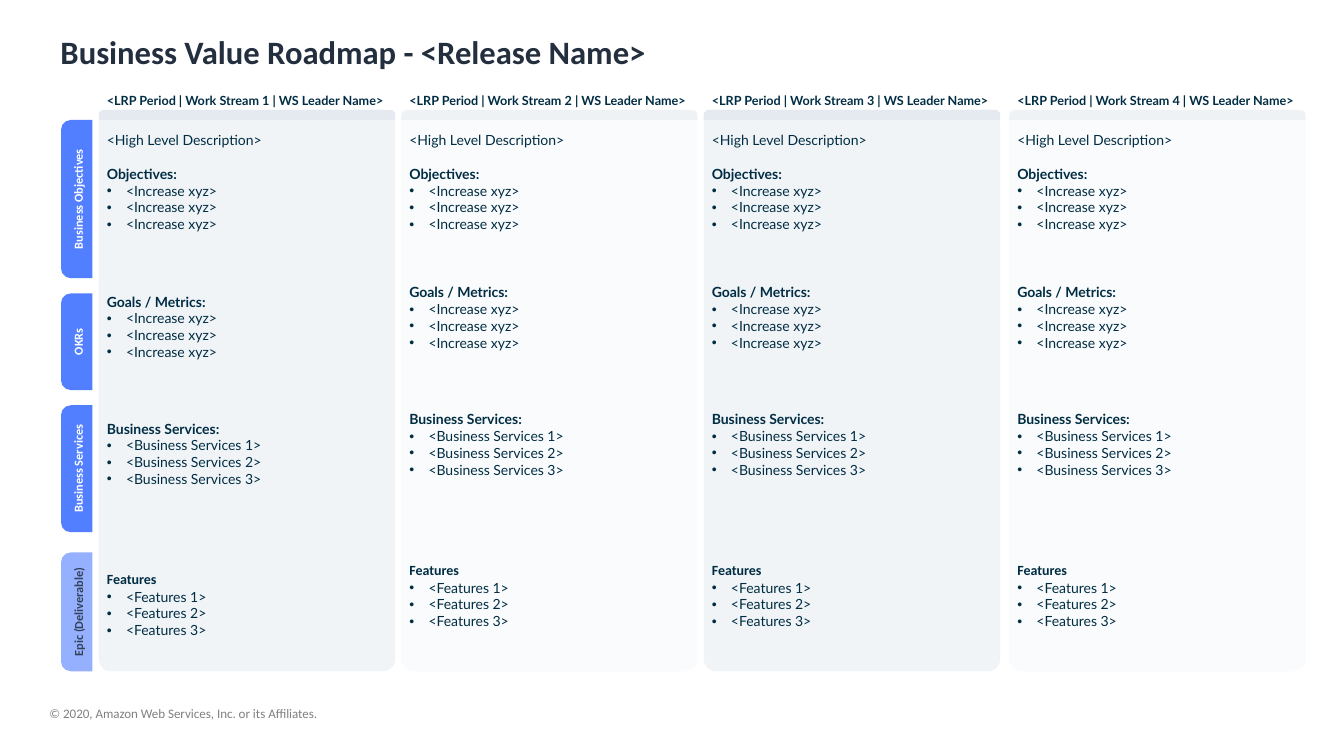
from lxml import etree
from pptx import Presentation
from pptx import util as u
from pptx.dml.color import RGBColor
from pptx.enum import shapes, text
from pptx.oxml import ns

WHITE = RGBColor(0xFF, 0xFF, 0xFF)
TITLE_INK = RGBColor(0x23, 0x2F, 0x3E)
BODY_INK = RGBColor(0x00, 0x2D, 0x43)
TAB_INK = RGBColor(0x32, 0x43, 0x58)
FOOTER_GREY = RGBColor(0x80, 0x80, 0x80)
PANEL = RGBColor(0xE5, 0xEA, 0xF0)
BLUE = RGBColor(0x52, 0x7F, 0xFF)
LIGHT_BLUE = RGBColor(0x95, 0xB0, 0xFF)
NO_GRID_STYLE = "{2D5ABB26-0587-4C30-8999-92F81FD0307C}"

COLUMN_LEFTS = (0.98, 3.98, 6.98, 10.01)
COLUMN_WIDTH = 2.94
PANEL_TOP = 1.09
TAB_WIDTH = 0.31
TAB_CENTER = 0.76

# name, top, length, fill, ink
TABS = (
    ("Business Objectives", 1.19, 1.57, BLUE, WHITE),
    ("OKRs", 2.91, 0.96, BLUE, WHITE),
    ("Business Services", 4.02, 1.26, BLUE, WHITE),
    ("Epic (Deliverable)", 5.48, 1.18, LIGHT_BLUE, TAB_INK),
)


def numbered(label):
    return [f"<{label} {number}>" for number in (1, 2, 3)]


class RoadmapSlide:
    heading_font = "Calibri"
    body_font = "Lato"
    body_size = 10

    def __init__(self, presentation):
        self.slide = presentation.slides.add_slide(presentation.slide_layouts[5])

    def style(self, paragraph, size, color, bold=False, font=heading_font):
        paragraph.font.name = font
        paragraph.font.size = u.Pt(size)
        paragraph.font.bold = bold
        paragraph.font.color.rgb = color

    def title(self, wording):
        title = self.slide.shapes.title
        title.left, title.top = u.Inches(0.5), u.Inches(0.19)
        title.width, title.height = u.Inches(12.31), u.Inches(0.64)
        title.text_frame.text = wording
        title.text_frame.vertical_anchor = text.MSO_ANCHOR.MIDDLE
        paragraph = title.text_frame.paragraphs[0]
        paragraph.alignment = text.PP_ALIGN.LEFT
        self.style(paragraph, 23.3, TITLE_INK, bold=True)

    def footer(self, wording):
        footer = self.slide.shapes.add_textbox(
            u.Inches(0.49), u.Inches(7), u.Inches(6.48), u.Inches(0.16))
        frame = footer.text_frame
        frame.word_wrap = True
        frame.margin_left = frame.margin_right = 0
        frame.margin_top = frame.margin_bottom = 0
        frame.text = wording
        self.style(frame.paragraphs[0], 9.3, FOOTER_GREY)

    def block(self, preset, left, top, width, height, color, adjustments, opacity=100):
        """Add a plain filled shape; opacity is in percent."""
        block = self.slide.shapes.add_shape(
            preset, u.Inches(left), u.Inches(top), u.Inches(width), u.Inches(height))
        block.shadow.inherit = False
        block.fill.solid()
        block.fill.fore_color.rgb = color
        block.line.fill.background()
        for index, value in enumerate(adjustments):
            block.adjustments[index] = value
        if opacity < 100:
            fill_color = block.element.find(".//" + ns.qn("a:srgbClr"))
            etree.SubElement(fill_color, ns.qn("a:alpha"), val=str(opacity * 1000))
        return block

    def tab(self, name, top, length, color, ink):
        """Add a side tab, turned so its name reads upwards."""
        tab = self.block(
            shapes.MSO_SHAPE.ROUND_2_SAME_RECTANGLE, TAB_CENTER - length / 2,
            top + (length - TAB_WIDTH) / 2, length, TAB_WIDTH, color, (0.315, 0))
        tab.rotation = 270
        tab.text_frame.text = name
        tab.text_frame.vertical_anchor = text.MSO_ANCHOR.MIDDLE
        paragraph = tab.text_frame.paragraphs[0]
        paragraph.alignment = text.PP_ALIGN.CENTER
        self.style(paragraph, 8.8, ink, bold=True)

    def panel(self, left, body_opacity, cap_opacity):
        self.block(shapes.MSO_SHAPE.ROUNDED_RECTANGLE, left, PANEL_TOP,
                   COLUMN_WIDTH, 5.57, PANEL, (0.042,), body_opacity)
        self.block(shapes.MSO_SHAPE.ROUND_2_SAME_RECTANGLE, left, PANEL_TOP,
                   COLUMN_WIDTH, 0.1, PANEL, (0.5, 0), cap_opacity)

    def line(self, frame, wording, size=body_size, bold=False, gap=0, font=body_font):
        """Write into the empty first paragraph or append a new one."""
        first = frame.paragraphs[0]
        paragraph = frame.add_paragraph() if first.runs else first
        paragraph.text = wording
        if gap:
            paragraph.space_before = u.Pt(gap)
        self.style(paragraph, size, BODY_INK, bold, font)

    def bullets(self, frame, items):
        for item in items:
            paragraph = frame.add_paragraph()
            paragraph.text = item
            properties = paragraph._p.get_or_add_pPr()
            properties.set("marL", str(u.Inches(0.19)))
            properties.set("indent", str(-u.Inches(0.19)))
            etree.SubElement(properties, ns.qn("a:buFont"), typeface="Arial")
            etree.SubElement(properties, ns.qn("a:buChar"), char="•")
            self.style(paragraph, self.body_size, BODY_INK, font=self.body_font)

    def work_stream(self, number, left, objectives_height):
        row_heights = (0.39, objectives_height, 1.26, 2.89)
        frame = self.slide.shapes.add_table(
            len(row_heights), 1, u.Inches(left), u.Inches(0.88),
            u.Inches(COLUMN_WIDTH), u.Inches(sum(row_heights)))
        table = frame.table
        table.first_row = table.horz_banding = False
        frame.element.find(".//" + ns.qn("a:tableStyleId")).text = NO_GRID_STYLE
        for row, height in zip(table.rows, row_heights):
            row.height = u.Inches(height)
        for cell in table.iter_cells():
            cell.fill.background()
            cell.margin_left = cell.margin_right = u.Inches(0.08)
            cell.margin_top = cell.margin_bottom = u.Inches(0.04)

        header, objectives, goals, services = (
            cell.text_frame for cell in table.iter_cells())
        self.line(header, f"<LRP Period | Work Stream {number} | WS Leader Name>",
                  size=9, bold=True)
        self.line(objectives, "<High Level Description>")
        self.line(objectives, "Objectives:", bold=True, gap=12)
        self.bullets(objectives, ["<Increase xyz>"] * 3)
        self.line(goals, "Goals / Metrics:", bold=True)
        self.bullets(goals, ["<Increase xyz>"] * 3)
        self.line(services, "Business Services:", bold=True)
        self.bullets(services, numbered("Business Services"))
        self.line(services, "Features", bold=True, gap=60, font=self.heading_font)
        self.bullets(services, numbered("Features"))


def main():
    presentation = Presentation()
    presentation.slide_width = u.Inches(13.33)
    presentation.slide_height = u.Inches(7.5)
    roadmap = RoadmapSlide(presentation)
    roadmap.title("Business Value Roadmap - <Release Name>")
    roadmap.footer("© 2020, Amazon Web Services, Inc. or its Affiliates.")
    for tab in TABS:
        roadmap.tab(*tab)
    for number, left in enumerate(COLUMN_LEFTS, start=1):
        body_opacity, cap_opacity = (50, 100) if number % 2 else (18, 51)
        roadmap.panel(left, body_opacity, cap_opacity)
        roadmap.work_stream(number, left, 1.6 if number == 1 else 1.51)
    presentation.save("out.pptx")


if __name__ == "__main__":
    main()
